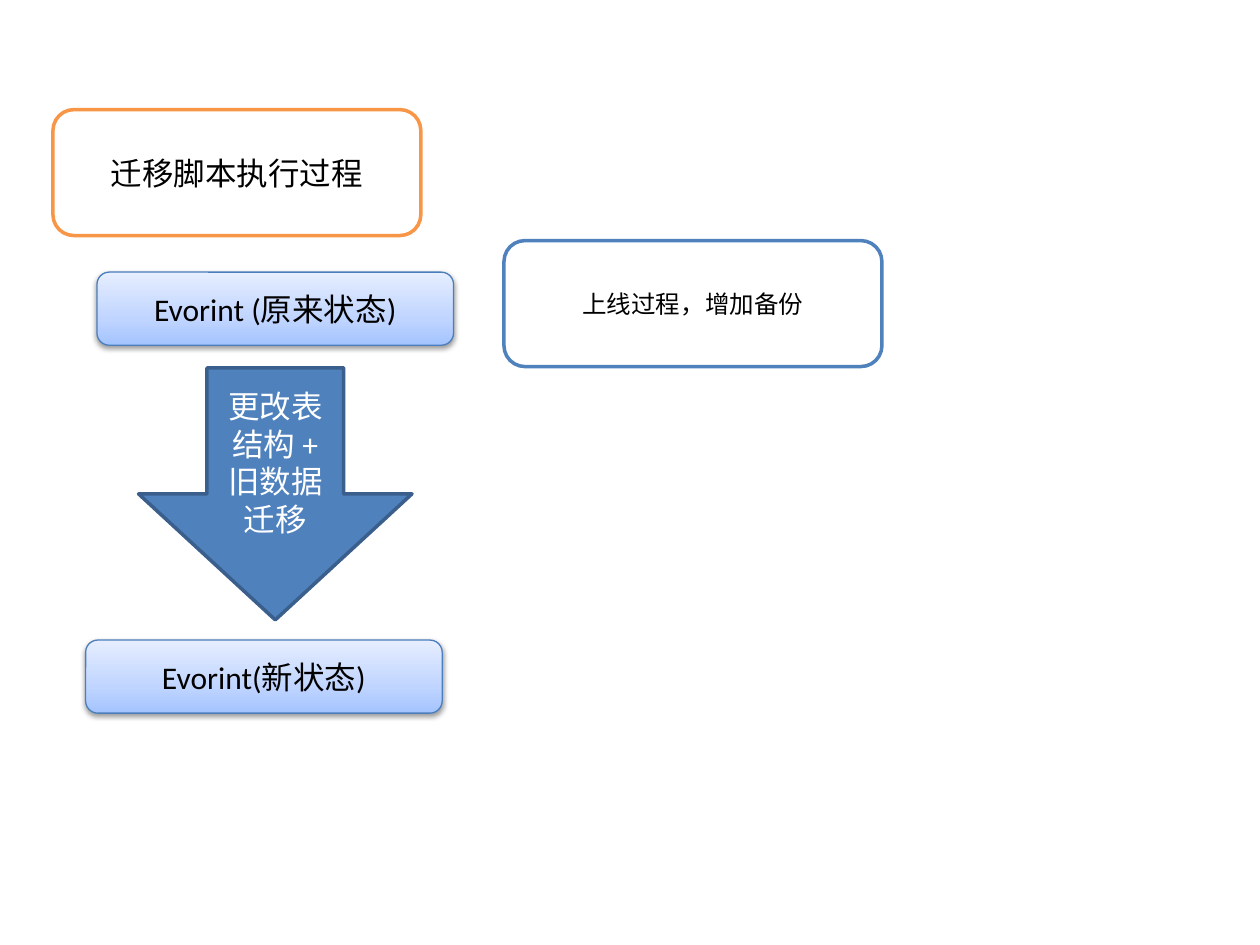
from dataclasses import dataclass
from typing import Optional

from lxml.etree import SubElement
from pptx import Presentation
from pptx.dml.color import RGBColor as RGB
from pptx.enum.shapes import MSO_SHAPE as Shape
from pptx.enum.text import MSO_ANCHOR as Anchor, PP_ALIGN as Align
from pptx.oxml.ns import qn
from pptx.util import Inches, Pt

COLUMNS, ROWS = 100, 75


@dataclass(frozen=True)
class Theme:
    font: str = "Calibri"
    body: float = 18
    small: float = 14
    outline: float = 2
    hairline: float = 0.75
    white: str = "FFFFFF"
    black: str = "000000"
    orange: str = "F79646"
    blue: str = "4F81BD"
    deep_blue: str = "3A5F8C"
    state_edge: str = "4B7EBC"
    state_stops: tuple = ((0, "A4C4FF"), (35, "BFD4FF"), (100, "E6EEFF"))


THEME = Theme()


@dataclass(frozen=True)
class Step:
    text: str
    column: float
    row: float
    columns: float
    rows: float
    edge: str
    fill: Optional[str] = THEME.white
    ink: str = THEME.black
    size: float = THEME.body
    outline: float = THEME.outline
    preset: Shape = Shape.ROUNDED_RECTANGLE


def state(text: str, column: float, row: float) -> Step:
    return Step(text, column, row, 28.3, 5.8, THEME.state_edge,
                fill=None, outline=THEME.hairline)


STEPS = (
    Step("迁移脚本执行过程", 4.2, 8.7, 29.2, 10, THEME.orange),
    Step("上线过程，增加备份", 40, 19.1, 30, 10, THEME.blue, size=THEME.small),
    Step("更改表结构 + 旧数据迁移", 11, 29.2, 21.7, 20, THEME.deep_blue,
         fill=THEME.blue, ink=THEME.white, preset=Shape.DOWN_ARROW),
    state("Evorint (原来状态)", 7.7, 21.6),
    state("Evorint(新状态)", 6.8, 50.8),
)


def add_color(parent, color: str):
    return SubElement(parent, qn("a:srgbClr"), val=color)


def raise_state(box) -> None:
    box.fill.gradient()
    box.fill.gradient_angle = 90
    properties = box._element.spPr
    stops = properties.find(".//" + qn("a:gsLst"))
    stops.clear()
    for percent, color in THEME.state_stops:
        add_color(SubElement(stops, qn("a:gs"), pos=str(percent * 1000)), color)
    shadow = SubElement(properties.find(qn("a:effectLst")), qn("a:outerShdw"),
                        blurRad=str(Pt(3.1)), dist=str(Pt(1.6)),
                        dir="5400000", rotWithShape="0")
    SubElement(add_color(shadow, THEME.black), qn("a:alpha"), val="38000")


def draw_step(slide, step: Step, unit_x: float, unit_y: float) -> None:
    box = slide.shapes.add_shape(
        step.preset, round(step.column * unit_x), round(step.row * unit_y),
        round(step.columns * unit_x), round(step.rows * unit_y))
    box.shadow.inherit = False
    if step.fill:
        box.fill.solid()
        box.fill.fore_color.rgb = RGB.from_string(step.fill)
    else:
        raise_state(box)
    box.line.color.rgb = RGB.from_string(step.edge)
    box.line.width = Pt(step.outline)

    frame = box.text_frame
    frame.word_wrap = True
    frame.vertical_anchor = Anchor.MIDDLE
    paragraph = frame.paragraphs[0]
    paragraph.alignment = Align.CENTER
    wording = paragraph.add_run()
    wording.text = step.text
    for attribute, value in {"name": THEME.font, "size": Pt(step.size)}.items():
        setattr(wording.font, attribute, value)
    wording.font.color.rgb = RGB.from_string(step.ink)


def main() -> None:
    deck = Presentation()
    deck.slide_width, deck.slide_height = Inches(10), Inches(7.5)
    slide = deck.slides.add_slide(deck.slide_layouts[6])
    for step in STEPS:
        draw_step(slide, step, deck.slide_width / COLUMNS, deck.slide_height / ROWS)
    deck.save("out.pptx")


if __name__ == "__main__":
    main()
